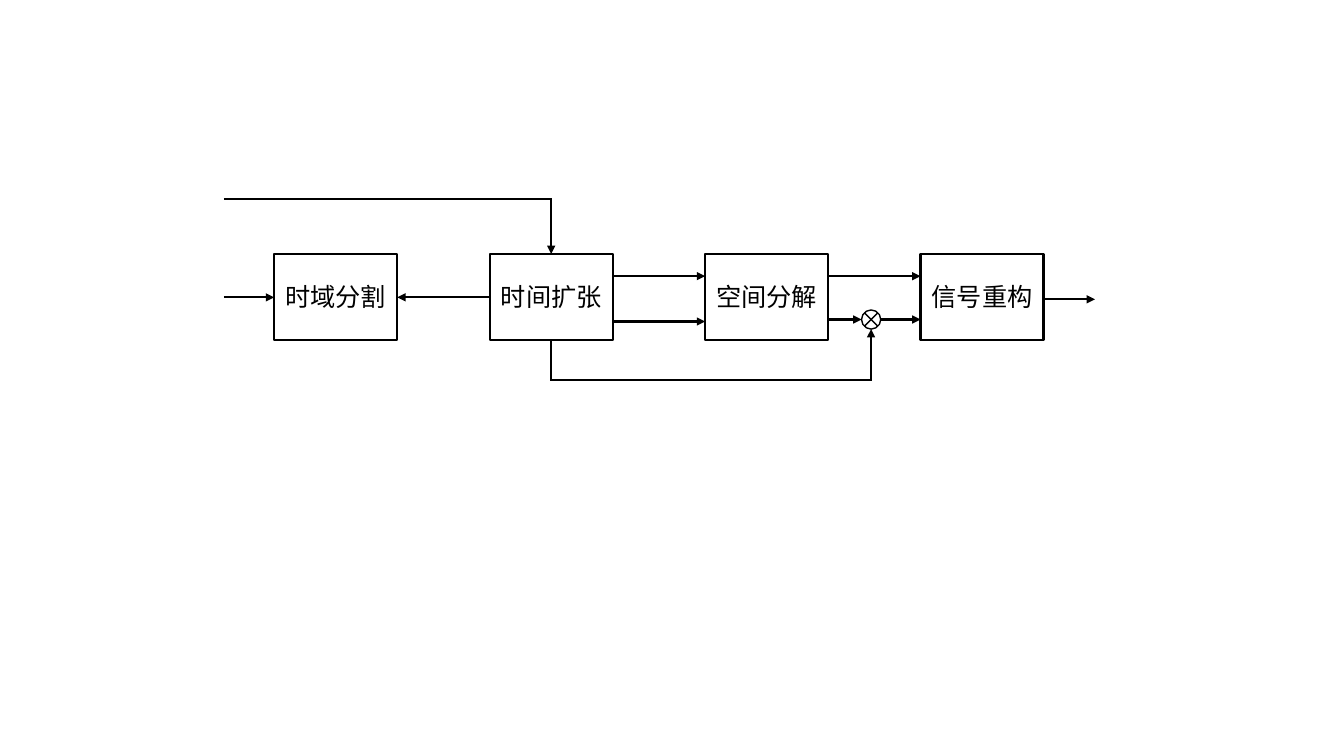
"""Builds a block diagram of a signal processing chain."""
from lxml import etree
from pptx import Presentation
from pptx.dml.color import RGBColor
from pptx.enum.shapes import MSO_CONNECTOR, MSO_SHAPE
from pptx.enum.text import MSO_ANCHOR, PP_ALIGN
from pptx.oxml.ns import qn
from pptx.util import Inches, Pt

STRAIGHT = MSO_CONNECTOR.STRAIGHT
RECTANGLE = MSO_SHAPE.RECTANGLE
SUMMING_JUNCTION = MSO_SHAPE.FLOWCHART_SUMMING_JUNCTION
MIDDLE = MSO_ANCHOR.MIDDLE
CENTER = PP_ALIGN.CENTER
BLACK = RGBColor(0x00, 0x00, 0x00)
WHITE = RGBColor(0xFF, 0xFF, 0xFF)

STAGES = ["时域分割", "时间扩张", "空间分解", "信号重构"]
STAGE_TOP, STAGE_WIDTH, STAGE_HEIGHT = 2.52, 1.22, 0.85
FIRST_LEFT, LAST_LEFT = 2.72, 9.13
JUNCTION_X, JUNCTION_Y, JUNCTION_SIZE = 8.64, 3.17, 0.19
INPUT_X, OUTPUT_X = 2.22, 10.86
UPPER_Y, MIDDLE_Y, LOWER_Y, OUTPUT_Y = 2.74, 2.95, 3.19, 2.97
TOP_ROUTE_Y, BOTTOM_ROUTE_Y = 1.97, 3.77

pitch = (LAST_LEFT - FIRST_LEFT) / (len(STAGES) - 1)
lefts = [FIRST_LEFT + index * pitch for index in range(len(STAGES))]
rights = [left + STAGE_WIDTH for left in lefts]
expansion_x = lefts[1] + STAGE_WIDTH / 2
junction_radius = JUNCTION_SIZE / 2

ARROWS = [
    (INPUT_X, lefts[0], MIDDLE_Y),
    (lefts[1], rights[0], MIDDLE_Y),
    (rights[1], lefts[2], UPPER_Y),
    (rights[1], lefts[2], LOWER_Y),
    (rights[2], lefts[3], UPPER_Y),
    (rights[2], JUNCTION_X - junction_radius, JUNCTION_Y),
    (JUNCTION_X + junction_radius, lefts[3], JUNCTION_Y),
    (rights[3], OUTPUT_X, OUTPUT_Y),
]
ROUTES = [
    [(INPUT_X, TOP_ROUTE_Y), (expansion_x, TOP_ROUTE_Y), (expansion_x, STAGE_TOP)],
    [(expansion_x, STAGE_TOP + STAGE_HEIGHT), (expansion_x, BOTTOM_ROUTE_Y),
     (JUNCTION_X, BOTTOM_ROUTE_Y), (JUNCTION_X, JUNCTION_Y + junction_radius)],
]


def style_arrow(arrow):
    arrow.line.color.rgb = BLACK
    arrow.line.width = Pt(1.5)
    line = arrow.line._get_or_add_ln()
    etree.SubElement(line, qn("a:miter"), lim="800000")
    etree.SubElement(line, qn("a:tailEnd"), type="triangle")


def add_arrow(slide, start_x, end_x, y):
    connector = slide.shapes.add_connector(
        STRAIGHT, Inches(start_x), Inches(y), Inches(end_x), Inches(y))
    style_arrow(connector)
    etree.SubElement(connector._element.spPr, qn("a:effectLst"))


def add_route(slide, points):
    corners = [(Inches(x), Inches(y)) for x, y in points]
    builder = slide.shapes.build_freeform(*corners[0])
    builder.add_line_segments(corners[1:], close=False)
    route = builder.convert_to_shape()
    route.shadow.inherit = False
    route.fill.background()
    style_arrow(route)


def add_block(slide, kind, left, top, width, height, line_width):
    block = slide.shapes.add_shape(
        kind, Inches(left), Inches(top), Inches(width), Inches(height))
    block.shadow.inherit = False
    block.fill.solid()
    block.fill.fore_color.rgb = WHITE
    block.line.color.rgb = BLACK
    block.line.width = Pt(line_width)
    return block


def add_stage(slide, label, left):
    block = add_block(slide, RECTANGLE, left, STAGE_TOP, STAGE_WIDTH, STAGE_HEIGHT, 1.5)
    frame = block.text_frame
    frame.text = label
    frame.word_wrap = True
    frame.margin_left = frame.margin_right = 0
    frame.vertical_anchor = MIDDLE
    paragraph = frame.paragraphs[0]
    paragraph.alignment = CENTER
    font = paragraph.runs[0].font
    font.name = "Calibri"
    font.size = Pt(18)
    font.color.rgb = BLACK


def main():
    presentation = Presentation()
    presentation.slide_width = Inches(13.33)
    presentation.slide_height = Inches(7.5)
    slide = presentation.slides.add_slide(presentation.slide_layouts[6])
    for label, left in zip(STAGES, lefts):
        add_stage(slide, label, left)
    for arrow in ARROWS:
        add_arrow(slide, *arrow)
    for points in ROUTES:
        add_route(slide, points)
    add_block(slide, SUMMING_JUNCTION, JUNCTION_X - junction_radius,
              JUNCTION_Y - junction_radius, JUNCTION_SIZE, JUNCTION_SIZE, 1)
    presentation.save("out.pptx")


if __name__ == "__main__":
    main()
